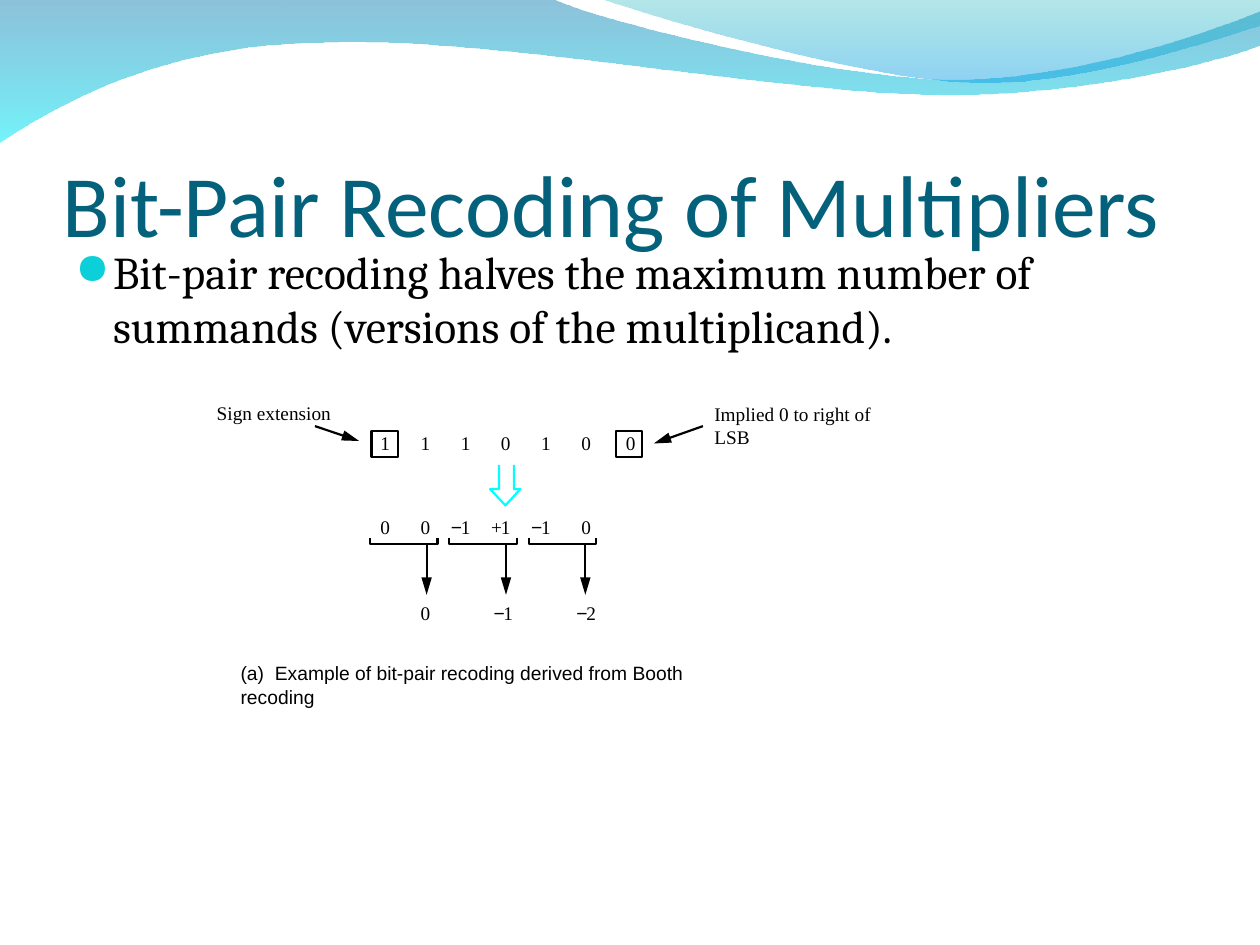
import pptx
import pptx.dml.color
import pptx.enum.dml
import pptx.enum.shapes
import pptx.enum.text
import pptx.oxml
import pptx.oxml.ns
import pptx.util
from lxml import etree

Cm = pptx.util.Cm
Pt = pptx.util.Pt
RGBColor = pptx.dml.color.RGBColor
ANCHOR = pptx.enum.text.MSO_ANCHOR

BLACK = RGBColor(0x00, 0x00, 0x00)
TITLE_BLUE = RGBColor(0x04, 0x61, 0x7B)
BULLET_TEAL = RGBColor(0x0B, 0xD0, 0xD9)
CYAN = RGBColor(0x00, 0xFF, 0xFF)

# Lengths are centimetres. A point has 2 numbers, a cubic curve has 6.
# Each wave: outline, gradient stops as (colour, opacity in percent).
WAVES = [
    ([(0, 0), (11.18, 0), (12.09, 0.43, 16.87, 1.6, 19.25, 1.6),
      (21.67, 1.6, 24.33, 0.66, 25.4, 0.23), (25.4, 0.91),
      (24.97, 1.12, 22.1, 1.93, 18.95, 1.91), (15.8, 1.91, 9.7, 0.71, 6.53, 0.86),
      (3.28, 0.89, 1.17, 2.11, 0, 2.87)],
     [(RGBColor(0x00, 0x79, 0xAF), 45), (RGBColor(0x00, 0xEB, 0xF8), 55)]),
    ([(12.17, 0), (12.93, 0.28, 17.32, 1.57, 19.53, 1.65),
      (21.74, 1.75, 24.41, 0.81, 25.4, 0.53), (25.4, 0)],
     [(RGBColor(0x00, 0xAD, 0xB6), 30), (RGBColor(0x00, 0x9B, 0xE5), 45)]),
]

TITLE = "Bit-Pair Recoding of Multipliers"
BODY = "Bit-pair recoding halves the maximum number of summands (versions of the multiplicand)."

# Text, left, top, width, font
LABELS = [
    ("Sign extension", 4.37, 8.08, 2.31, "Times New Roman"),
    ("Implied 0 to right of LSB", 14.4, 8.1, 3.96, "Times New Roman"),
    ("(a)  Example of bit-pair recoding derived from Booth recoding",
     4.85, 13.34, 10.54, "Arial"),
]

DIGIT_LEFT, DIGIT_STEP, DIGIT_WIDTH, TEXT_HEIGHT = 7.67, 0.81, 0.2, 0.46
MULTIPLIER = ["1", "1", "1", "0", "1", "0"]
BOOTH = ["0", "0", "−1", "+1", "−1", "0"]
PAIRS = ["0", "−1", "−2"]
MULTIPLIER_TOP, BOOTH_TOP, PAIRS_TOP = 8.69, 10.39, 12.12
IMPLIED_ZERO_LEFT = 12.62
SIGN_FONTS = {"−": "Arial", "+": "Times New Roman"}

BOX_LEFTS, BOX_SIZE = (7.49, 12.42), 0.53
POINTERS = [((6.35, 8.59), (7.24, 8.89)), ((14.17, 8.59), (13.18, 8.94))]
BLOCK_ARROW = [(10.36, 9.37), (10.36, 9.86), (10.49, 9.86), (10.19, 10.19),
               (9.88, 9.86), (10.06, 9.86), (10.06, 9.37)]
PAIR_LEFT, PAIR_STEP, BRACKET_WIDTH = 7.46, 1.6, 1.36
BRACKET_TOP, BRACKET_BOTTOM, ARROW_TIP = 10.85, 10.97, 11.99
ARROW_OFFSET = 1.14
LINE_WIDTH = Pt(1.25)

presentation = pptx.Presentation()
presentation.slide_width, presentation.slide_height = Cm(25.4), Cm(19.05)
slide = presentation.slides.add_slide(presentation.slide_layouts[6])
shapes = slide.shapes


def add_child(parent, tag, **attributes):
    return etree.SubElement(parent, pptx.oxml.ns.qn(tag), attributes)


def flatten(outline, steps=24):
    """Turn an outline with cubic curves into plain points."""
    points = [outline[0]]
    for segment in outline[1:]:
        if len(segment) == 2:
            points.append(segment)
            continue
        controls = [points[-1], segment[:2], segment[2:4], segment[4:]]
        for step in range(1, steps + 1):
            t = step / steps
            weights = ((1 - t) ** 3, 3 * t * (1 - t) ** 2, 3 * t * t * (1 - t), t ** 3)
            points.append(tuple(sum(w * control[axis] for w, control in zip(weights, controls))
                                for axis in (0, 1)))
    return points


def add_outline(points, close):
    corners = [(Cm(x), Cm(y)) for x, y in points]
    builder = shapes.build_freeform(*corners[0])
    builder.add_line_segments(corners[1:], close=close)
    shape = builder.convert_to_shape()
    shape.shadow.inherit = False
    return shape


def draw_stroke(shape, color):
    shape.fill.background()
    shape.line.color.rgb = color
    shape.line.width = LINE_WIDTH


def add_wave(outline, stops):
    shape = add_outline(flatten(outline), True)
    shape.line.fill.background()
    shape.fill.gradient()
    shape.fill.gradient_angle = 270
    for stop, (color, _) in zip(shape.fill.gradient_stops, stops):
        stop.color.rgb = color
    for element, (_, opacity) in zip(shape._element.xpath(".//a:gs/a:srgbClr"), stops):
        add_child(element, "a:alpha", val=str(opacity * 1000))


def add_text(text, box, font, size=11, color=BLACK, margins=(0, 0, 0, 0),
             wrap=False, anchor=ANCHOR.TOP):
    frame = shapes.add_textbox(*map(Cm, box)).text_frame
    frame.margin_left, frame.margin_top, frame.margin_right, frame.margin_bottom = map(Cm, margins)
    frame.word_wrap = wrap
    frame.vertical_anchor = anchor
    paragraph = frame.paragraphs[0]
    paragraph.text = text
    paragraph.font.name, paragraph.font.size = font, Pt(size)
    paragraph.font.color.rgb = color
    return paragraph


def add_bullet(paragraph, color):
    properties = paragraph._p.get_or_add_pPr()
    properties.set("marL", str(Cm(0.76)))
    properties.set("indent", str(-Cm(0.76)))
    add_child(add_child(properties, "a:buClr"), "a:srgbClr", val=str(color))
    add_child(properties, "a:buSzPct", val="95000")
    add_child(properties, "a:buChar", char="●")
    properties.append(properties.find(pptx.oxml.ns.qn("a:defRPr")))


def add_number(number, left, top):
    """Place the digit at left, with any sign just before it."""
    sign, digit = number[:-1], number[-1]
    add_text(digit, (left, top, DIGIT_WIDTH, TEXT_HEIGHT), "Times New Roman")
    if sign:
        add_text(sign, (left - 0.2, top, 0.2, TEXT_HEIGHT), SIGN_FONTS[sign])


def add_arrow(start, end):
    connector = shapes.add_connector(pptx.enum.shapes.MSO_CONNECTOR.STRAIGHT,
                                     *map(Cm, start + end))
    connector.line.color.rgb = BLACK
    connector.line.width = LINE_WIDTH
    add_child(connector.line._get_or_add_ln(), "a:tailEnd", type="triangle", w="med", len="lg")
    add_child(connector._element.spPr, "a:effectLst")


for outline, stops in WAVES:
    add_wave(outline, stops)

add_text(TITLE, (1.27, 1.96, 22.86, 3.18), "Calibri", 50, TITLE_BLUE,
         (0, 0.13, 0, 0), True, ANCHOR.BOTTOM)
body = add_text(BODY, (1.27, 4.78, 22.86, 3.28), "Cambria", 26,
                margins=(0.25, 0.13, 0.25, 0.13), wrap=True)
body.space_before = Pt(6.5)
add_bullet(body, BULLET_TEAL)

for text, left, top, width, font in LABELS:
    add_text(text, (left, top, width, TEXT_HEIGHT), font)

for left in BOX_LEFTS:
    box = shapes.add_shape(pptx.enum.shapes.MSO_SHAPE.RECTANGLE,
                           *map(Cm, (left, MULTIPLIER_TOP, BOX_SIZE, BOX_SIZE)))
    box.shadow.inherit = False
    draw_stroke(box, BLACK)

for column, (bit, recoded) in enumerate(zip(MULTIPLIER, BOOTH)):
    digit_left = DIGIT_LEFT + column * DIGIT_STEP
    add_number(bit, digit_left, MULTIPLIER_TOP)
    add_number(recoded, digit_left, BOOTH_TOP)
add_number("0", IMPLIED_ZERO_LEFT, MULTIPLIER_TOP)

for start, end in POINTERS:
    add_arrow(start, end)
draw_stroke(add_outline(BLOCK_ARROW, False), CYAN)

for index, pair in enumerate(PAIRS):
    left = PAIR_LEFT + index * PAIR_STEP
    right = left + BRACKET_WIDTH
    bracket = [(right, BRACKET_TOP), (right, BRACKET_BOTTOM),
               (left, BRACKET_BOTTOM), (left, BRACKET_TOP)]
    draw_stroke(add_outline(bracket, False), BLACK)
    arrow_x = left + ARROW_OFFSET
    add_arrow((arrow_x, BRACKET_BOTTOM), (arrow_x, ARROW_TIP))
    add_number(pair, DIGIT_LEFT + DIGIT_STEP + index * 1.67, PAIRS_TOP)

presentation.save("out.pptx")
